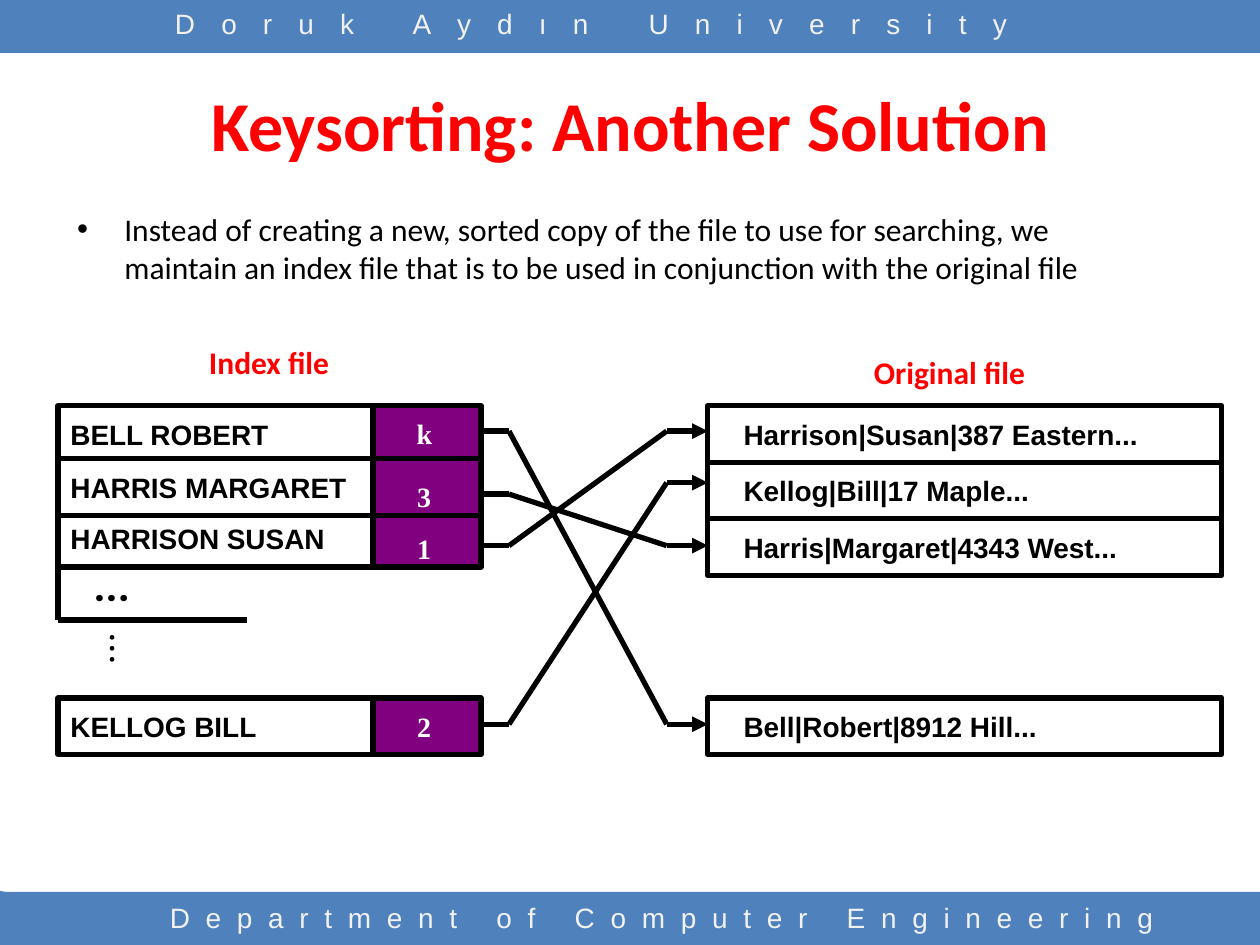
from dataclasses import dataclass

from lxml.etree import SubElement
from pptx import Presentation
from pptx.dml.color import RGBColor
from pptx.enum.shapes import MSO_CONNECTOR, MSO_SHAPE
from pptx.enum.text import MSO_ANCHOR, PP_ALIGN
from pptx.oxml.ns import qn
from pptx.util import Cm, Pt

BLACK = RGBColor(0, 0, 0)
WHITE = RGBColor(255, 255, 255)
RED = RGBColor(255, 0, 0)
BLUE = RGBColor(0x4F, 0x81, 0xBD)
PALE = RGBColor(0xF2, 0xF2, 0xF2)
PURPLE = RGBColor(0x80, 0, 0x80)

ROW = 1.14
NAME_X, NAME_W = 1.17, 8.46
KEY_X, KEY_W = 7.52, 2.18
FILE_X, FILE_W = 14.27, 10.36
TOP, LAST = 8.18, 14.07
OUT_X, BEND_L, BEND_R = 9.63, 10.26, 13.44


@dataclass
class Style:
    font: str
    size: float
    color: RGBColor
    bold: bool = False


@dataclass
class Entry:
    name: str
    top: float
    key: str
    key_mid: float


@dataclass
class Label:
    text: str
    left: float
    top: float
    width: float
    height: float
    style: Style
    gap: int = 0
    turn: bool = False


@dataclass
class Link:
    start: float
    end: float


CELL = Style("Arial", 16, BLACK, True)
BAND = Style("Arial", 16, PALE)
HEAD = Style("Calibri", 18, RED, True)
KEY = Style("Times New Roman", 16, WHITE, True)

ENTRIES = [
    Entry("HARRISON SUSAN", 10.29, "1", 11.06),
    Entry("BELL ROBERT", TOP, "k", 8.73),
    Entry("HARRIS MARGARET", 9.25, "3", 10),
    Entry("KELLOG BILL", LAST, "2", 14.65),
]
RECORDS = [
    ("Harrison|Susan|387 Eastern...", TOP),
    ("Kellog|Bill|17 Maple...", TOP + ROW),
    ("Harris|Margaret|4343 West...", TOP + 2 * ROW),
    ("Bell|Robert|8912 Hill...", LAST),
]
LABELS = [
    Label("Department of Computer Engineering", 2.34, 18.03, 22.02, 1.02, BAND, 900),
    Label("Doruk Aydın University", 1.65, 0, 20.55, 1.07, BAND, 1500),
    Label("Index file", 3.94, 6.78, 2.97, 1.02, HEAD),
    Label("Original file", 17.35, 6.99, 3.58, 1.02, HEAD),
    Label("...", 1.24, 11.15, 2.03, 1.27, Style("Roboto", 24, BLACK, True)),
    Label("...", 1.8, 12.5, 1.52, 1.78, Style("Roboto", 24, BLACK), turn=True),
]
LINKS = [Link(8.69, 14.6), Link(14.6, 9.73), Link(9.96, 11), Link(11, 8.69)]
CORNERS = [
    [(2.24, 18.01), (2.34, 18.01), (2.34, 19.05), (1.19, 19.05)],
    [(0.1, 17.98), (1.17, 19.05), (0, 19.05), (0, 17.96)],
]


def dress(par, style: Style) -> None:
    font = par.font
    font.name = style.font
    font.size = Pt(style.size)
    font.bold = style.bold
    font.color.rgb = style.color


def paint(shape, fill: RGBColor) -> None:
    shape.shadow.inherit = False
    shape.fill.solid()
    shape.fill.fore_color.rgb = fill
    shape.line.fill.background()


def add_box(shapes, left: float, top: float, width: float, height: float,
            fill: RGBColor, edge: bool = True):
    box = shapes.add_shape(MSO_SHAPE.RECTANGLE, Cm(left), Cm(top), Cm(width), Cm(height))
    paint(box, fill)
    if edge:
        box.line.color.rgb = BLACK
        box.line.width = Pt(3)
    return box


def add_cell(shapes, text: str, left: float, top: float, width: float, inset: float) -> None:
    frame = add_box(shapes, left, top, width, ROW, WHITE).text_frame
    frame.margin_left = Cm(inset)
    frame.vertical_anchor = MSO_ANCHOR.MIDDLE
    par = frame.paragraphs[0]
    par.text = text
    par.alignment = PP_ALIGN.LEFT
    dress(par, CELL)


def add_label(shapes, label: Label) -> None:
    box = shapes.add_textbox(Cm(label.left), Cm(label.top), Cm(label.width), Cm(label.height))
    frame = box.text_frame
    frame.word_wrap = label.gap > 0
    frame.vertical_anchor = MSO_ANCHOR.TOP if label.gap else MSO_ANCHOR.MIDDLE
    par = frame.paragraphs[0]
    par.text = label.text
    par.alignment = PP_ALIGN.CENTER
    dress(par, label.style)
    if label.gap:
        par.runs[0]._r.get_or_add_rPr().set("spc", str(label.gap))
    if label.turn:
        frame._txBody.bodyPr.set("vert", "eaVert")


def add_line(shapes, x1: float, y1: float, x2: float, y2: float, arrow: bool = False) -> None:
    line = shapes.add_connector(MSO_CONNECTOR.STRAIGHT, Cm(x1), Cm(y1), Cm(x2), Cm(y2))
    line.line.color.rgb = BLACK
    line.line.width = Pt(3)
    if arrow:
        SubElement(line.line._get_or_add_ln(), qn("a:tailEnd"), type="triangle")
    SubElement(line._element.spPr, qn("a:effectLst"))


def add_corner(shapes, points: list) -> None:
    first, *rest = [(Cm(x), Cm(y)) for x, y in points]
    pen = shapes.build_freeform(*first)
    pen.add_line_segments(rest)
    paint(pen.convert_to_shape(), BLUE)


def place(holder, left: float, top: float, width: float, height: float,
          text: str, style: Style):
    holder.left, holder.top = Cm(left), Cm(top)
    holder.width, holder.height = Cm(width), Cm(height)
    par = holder.text_frame.paragraphs[0]
    par.text = text
    dress(par, style)


deck = Presentation()
deck.slide_width, deck.slide_height = Cm(25.4), Cm(19.05)
slide = deck.slides.add_slide(deck.slide_layouts[1])
shapes = slide.shapes

for top in (0, 17.98):
    add_box(shapes, 0, top, 25.4, 1.07, BLUE, edge=False)
for points in CORNERS:
    add_corner(shapes, points)

place(shapes.title, 1.27, 1.04, 22.86, 2.9, "Keysorting: Another Solution",
      Style("Calibri", 40, RED, True))
place(slide.placeholders[1], 1.3, 4.11, 22.4, 2.54,
      "Instead of creating a new, sorted copy of the file to use for searching, we "
      "maintain an index file that is to be used in conjunction with the original file",
      Style("Calibri", 18, BLACK))

for entry in ENTRIES:
    add_cell(shapes, entry.name, NAME_X, entry.top, NAME_W, 0.25)
for entry in ENTRIES:
    add_box(shapes, KEY_X, entry.top, KEY_W, ROW, PURPLE)
for entry in ENTRIES:
    add_label(shapes, Label(entry.key, 8.15, entry.key_mid - 0.47, 0.8, 0.94, KEY))
for text, top in RECORDS:
    add_cell(shapes, text, FILE_X, top, FILE_W, 0.72)
for label in LABELS:
    add_label(shapes, label)

stub = shapes.add_group_shape().shapes
add_line(stub, NAME_X, 11.35, NAME_X, 12.5)
add_line(stub, NAME_X, 12.5, 4.98, 12.5)

wires = shapes.add_group_shape().shapes
for link in LINKS:
    add_line(wires, OUT_X, link.start, BEND_L, link.start)
    add_line(wires, BEND_L, link.start, BEND_R, link.end)
    add_line(wires, BEND_R, link.end, FILE_X, link.end, arrow=True)

deck.save("out.pptx")
